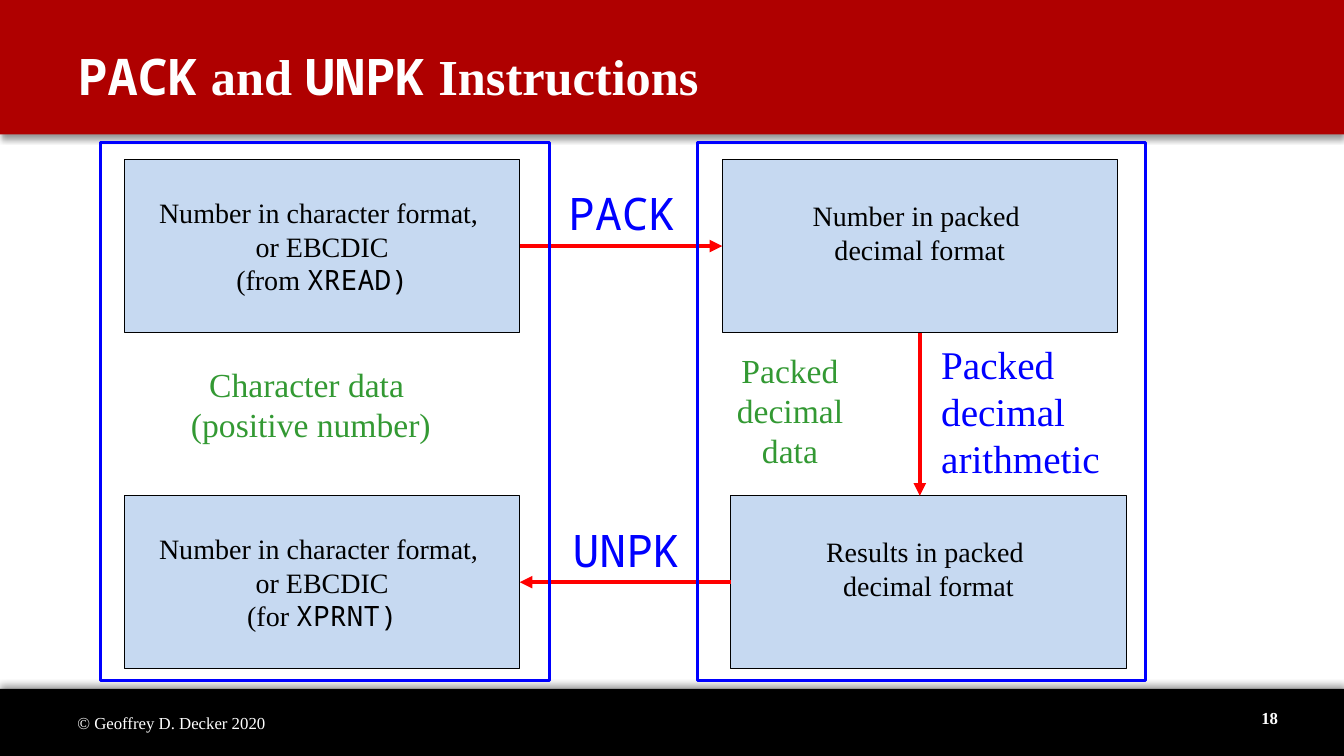
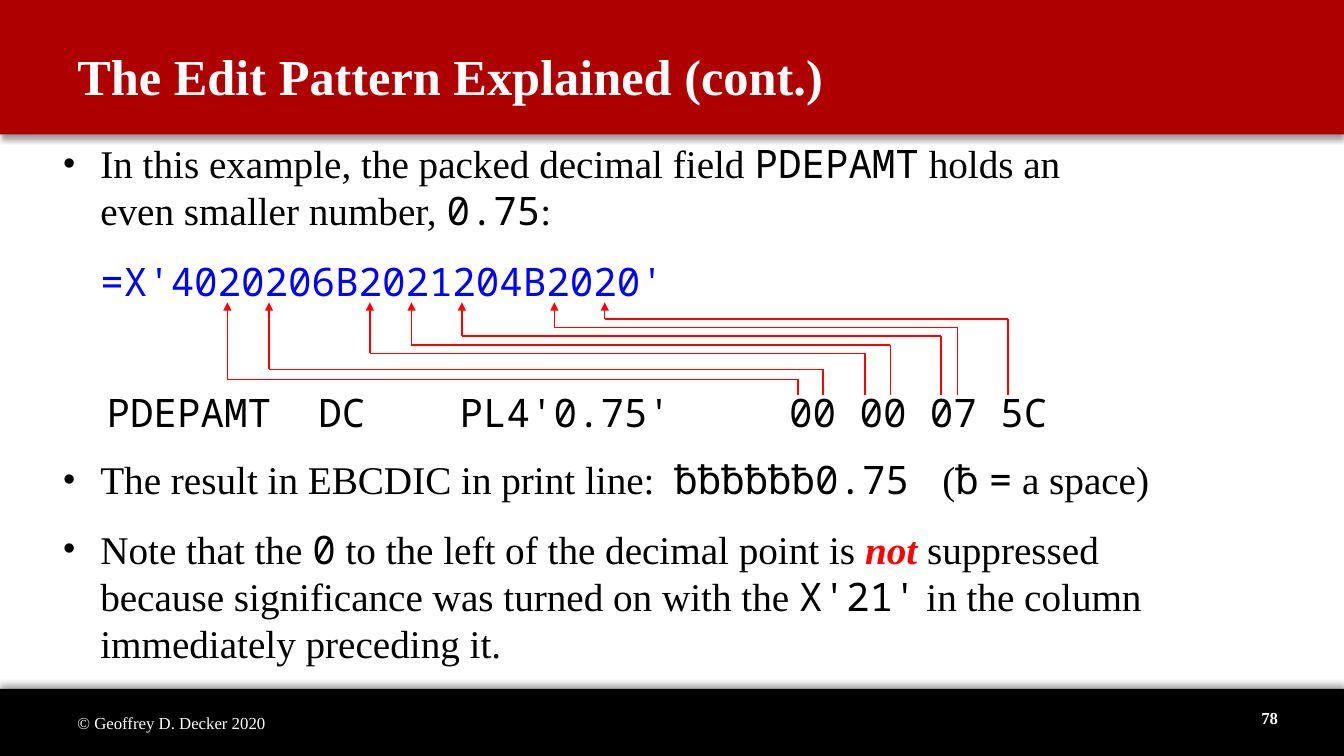
from dataclasses import dataclass
from typing import NamedTuple

from lxml.etree import SubElement
from pptx import Presentation
from pptx.dml.color import RGBColor
from pptx.enum.shapes import MSO_CONNECTOR as Connector, MSO_SHAPE as Preset
from pptx.enum.text import MSO_ANCHOR as Anchor, PP_ALIGN as Align
from pptx.oxml.ns import qn
from pptx.util import Cm, Pt


@dataclass(frozen=True)
class Theme:
    serif: str = "Times New Roman"
    mono: str = "Noto Sans Mono"
    white: str = "FFFFFF"
    black: str = "000000"
    band: str = "AF0000"
    node: str = "C6D9F1"
    blue: str = "0000FF"
    green: str = "339933"
    red: str = "FF0000"
    title: int = 36
    code_label: int = 32
    body: int = 28
    caption: int = 24
    node_text: int = 20
    footer: int = 12


THEME = Theme()
WIDTH, HEIGHT = 33.87, 19.05


class Box(NamedTuple):
    """A rectangle in centimetres."""
    left: float
    top: float
    width: float
    height: float

    @property
    def right(self):
        return self.left + self.width

    @property
    def bottom(self):
        return self.top + self.height

    @property
    def middle(self):
        return self.top + self.height / 2

    @property
    def center(self):
        return self.left + self.width / 2

    def inner(self, left, top, width, height):
        return Box(self.left + left, self.top + top, width, height)

    def lengths(self):
        return [Cm(value) for value in self]


TOP_BAND = Box(0, 0, WIDTH, 3.39)
BOTTOM_BAND = Box(0, 17.36, WIDTH, 1.69)
DIAGRAM = Box(2.54, 3.6, 26.33, 13.55)
BODY = Box(1.32, 3.39, 31.9, 13.97)


# Text
def write(paragraph, markup, size, color, bold=False):
    """Add runs: `code` is monospaced, *word* is stressed, newline breaks."""
    for code_index, chunk in enumerate(markup.split("`")):
        is_code = code_index % 2 == 1
        for stress_index, piece in enumerate(chunk.split("*")):
            stressed = stress_index % 2 == 1
            for line_index, line in enumerate(piece.split("\n")):
                if line_index:
                    paragraph.add_line_break()
                if not line:
                    continue
                run = paragraph.add_run()
                run.text = line
                font = run.font
                font.name = THEME.mono if is_code else THEME.serif
                font.size = Pt(size)
                font.bold = bold or stressed
                font.italic = stressed
                font.color.rgb = RGBColor.from_string(
                    THEME.red if stressed else color)


def fill_frame(text_frame, lines, size, color, align=Align.LEFT,
               anchor=Anchor.TOP, bold=False):
    text_frame.word_wrap = True
    text_frame.vertical_anchor = anchor
    for index, line in enumerate(lines):
        paragraph = (text_frame.add_paragraph() if index
                     else text_frame.paragraphs[0])
        paragraph.alignment = align
        write(paragraph, line, size, color, bold)


def add_text(slide, box, lines, size, color, **options):
    shape = slide.shapes.add_textbox(*box.lengths())
    fill_frame(shape.text_frame, lines, size, color, **options)


# Shapes and lines
def add_rectangle(slide, box, fill=None, line=None, line_width=1):
    shape = slide.shapes.add_shape(Preset.RECTANGLE, *box.lengths())
    shape.shadow.inherit = False
    if fill:
        shape.fill.solid()
        shape.fill.fore_color.rgb = RGBColor.from_string(fill)
    else:
        shape.fill.background()
    if line:
        shape.line.color.rgb = RGBColor.from_string(line)
        shape.line.width = Pt(line_width)
    else:
        shape.line.fill.background()
    return shape


def add_line(slide, start, end, width, arrow=False):
    points = [Cm(value) for value in (*start, *end)]
    connector = slide.shapes.add_connector(Connector.STRAIGHT, *points)
    connector.line.color.rgb = RGBColor.from_string(THEME.red)
    connector.line.width = Pt(width)
    if arrow:
        SubElement(connector.line._get_or_add_ln(), qn("a:tailEnd"),
                   type="triangle")
    SubElement(connector._element.spPr, qn("a:effectLst"))


# Parts shared by all slides
def add_band(slide, box, color, shadow_degrees):
    shape = add_rectangle(slide, box, color)
    effects = shape._element.spPr.find(qn("a:effectLst"))
    shadow = SubElement(effects, qn("a:outerShdw"), blurRad=str(Pt(4)),
                        dist=str(Pt(3)), dir=str(shadow_degrees * 60000),
                        algn="ctr", rotWithShape="0")
    shade = SubElement(shadow, qn("a:srgbClr"), val=THEME.black)
    SubElement(shade, qn("a:alpha"), val="40000")


def add_base_slide(presentation, title, number):
    slide = presentation.slides.add_slide(presentation.slide_layouts[6])
    add_band(slide, BOTTOM_BAND, THEME.black, 270)
    add_band(slide, TOP_BAND, THEME.band, 90)
    add_text(slide, TOP_BAND.inner(1.7, 0.43, 27.94, 2.96), [title],
             THEME.title, THEME.white, anchor=Anchor.MIDDLE, bold=True)
    add_text(slide, BOTTOM_BAND.inner(1.7, 0.35, 10.72, 1.02),
             ["© Geoffrey D. Decker 2020"], THEME.footer, THEME.white,
             anchor=Anchor.MIDDLE)
    add_text(slide, BOTTOM_BAND.inner(27.38, 0.21, 5.08, 1.02), [str(number)],
             THEME.footer, THEME.white, align=Align.RIGHT,
             anchor=Anchor.MIDDLE, bold=True)
    return slide


# Conversion diagram
def add_node(slide, box, lines, lift=0):
    shape = add_rectangle(slide, box, THEME.node, THEME.black, 0.75)
    shape.text_frame.margin_bottom = Cm(0.13 + lift)
    fill_frame(shape.text_frame, lines, THEME.node_text, THEME.black,
               align=Align.CENTER, anchor=Anchor.MIDDLE)


def add_conversion_diagram(slide, box):
    node_size = (9.96, 4.36)
    upper, lower = 0.42, 8.89
    source = box.inner(0.6, upper, *node_size)
    packed = box.inner(15.66, upper, *node_size)
    result = box.inner(15.88, lower, *node_size)
    printed = box.inner(0.6, lower, *node_size)

    # Nodes
    for node, usage in ((source, "(from `XREAD)`"), (printed, "(for `XPRNT)`")):
        add_node(slide, node,
                 ["Number in character format, ", "or EBCDIC", usage])
    for node, subject in ((packed, "Number"), (result, "Results")):
        add_node(slide, node, [f"{subject} in packed ", "decimal format"],
                 lift=0.68)

    # Arrows
    for start, end in (
            ((source.right, source.middle), (packed.left, packed.middle)),
            ((packed.center, packed.bottom), (packed.center, result.top)),
            ((result.left, result.middle), (printed.right, printed.middle))):
        add_line(slide, start, end, 3, arrow=True)

    # Operations
    add_text(slide, box.inner(11.53, 0.95, 3.6, 1.63), ["`PACK`"],
             THEME.code_label, THEME.blue)
    add_text(slide, box.inner(11.64, 9.44, 3.6, 1.63), ["`UNPK`"],
             THEME.code_label, THEME.blue)
    add_text(slide, box.inner(20.93, 4.86, 5.28, 3.84),
             ["Packed decimal arithmetic"], THEME.body, THEME.blue)

    # Frames and their captions
    frame_width = 11.3
    for left in (0, box.width - frame_width):
        add_rectangle(slide, box.inner(left, 0, frame_width, box.height),
                      line=THEME.blue, line_width=2)
    add_text(slide, box.inner(1.27, 5.44, 8.05, 2.31),
             ["Character data ", "(positive number)"],
             THEME.caption, THEME.green, align=Align.CENTER)
    add_text(slide, box.inner(13.45, 5.08, 8.05, 4.37),
             ["Packed ", "decimal ", "data "],
             THEME.caption, THEME.green, align=Align.CENTER)


# Edit pattern explanation
def set_layout(paragraph, space, bullet):
    margin = Cm(0.96)
    paragraph.space_before = Pt(space)
    properties = paragraph._p.get_or_add_pPr()
    properties.set("marL", str(margin))
    if bullet:
        properties.set("indent", str(-margin))
        SubElement(properties, qn("a:buFont"), typeface=THEME.serif)
        SubElement(properties, qn("a:buChar"), char="•")


def add_explanation(slide, box):
    paragraphs = (  # text, colour, space before, bullet
        ("In this example, the packed decimal field `PDEPAMT` holds an\n"
         "even smaller number, `0.75`:", THEME.black, 0, True),
        ("`=X'4020206B2021204B2020'`", THEME.blue, 17, False),
        # The wide space leaves room for the routes and the listing
        ("The result in EBCDIC in print line:  `ƀƀƀƀƀƀ0.75 ` (`ƀ` `=` a space)",
         THEME.black, 108, True),
        ("Note that the `0` to the left of the decimal point is *not* "
         "suppressed\nbecause significance was turned on with the `X'21'` "
         "in the column\nimmediately preceding it.",
         THEME.black, 16, True),
    )
    text_frame = slide.shapes.add_textbox(*box.lengths()).text_frame
    text_frame.word_wrap = True
    for index, (markup, color, space, bullet) in enumerate(paragraphs):
        paragraph = (text_frame.add_paragraph() if index
                     else text_frame.paragraphs[0])
        set_layout(paragraph, space, bullet)
        write(paragraph, markup, THEME.body, color)


def add_listing(slide, box):
    """Place each field of the assembler line at its character column."""
    character = 0.593
    fields = ((0, "PDEPAMT"), (9, "DC"), (15, "PL4'0.75'"), (29, "00 00 07 5C"))
    for column, code in fields:
        field = box.inner(1.12 + column * character, 6.27,
                          len(code) * character + 1, 1.45)
        add_text(slide, field, [f"`{code}`"], THEME.body, THEME.black)


def add_digit_routes(slide, box):
    """Lead each packed digit up to its selector in the pattern."""
    tip, foot = box.top + 4.23, box.top + 6.56
    routes = (  # selector x, digit x, height of the crossing
        (4.41, 18.79, 6.17), (5.46, 19.42, 5.92), (8, 20.48, 5.51),
        (9.05, 21.12, 5.3), (10.32, 22.39, 5.08), (12.65, 22.81, 4.87),
        (13.92, 24.08, 4.65))
    for selector, digit, crossing in routes:
        selector, digit = box.left + selector, box.left + digit
        level = box.top + crossing
        add_line(slide, (digit, foot), (digit, level), 1)
        add_line(slide, (digit, level), (selector, level), 1)
        add_line(slide, (selector, level), (selector, tip), 1, arrow=True)


def main():
    presentation = Presentation()
    presentation.slide_width, presentation.slide_height = Cm(WIDTH), Cm(HEIGHT)

    slide = add_base_slide(presentation, "`PACK` and `UNPK` Instructions", 18)
    add_conversion_diagram(slide, DIAGRAM)

    slide = add_base_slide(presentation, "The Edit Pattern Explained (cont.)", 78)
    add_explanation(slide, BODY)
    add_listing(slide, BODY)
    add_digit_routes(slide, BODY)

    presentation.save("out.pptx")


if __name__ == "__main__":
    main()
